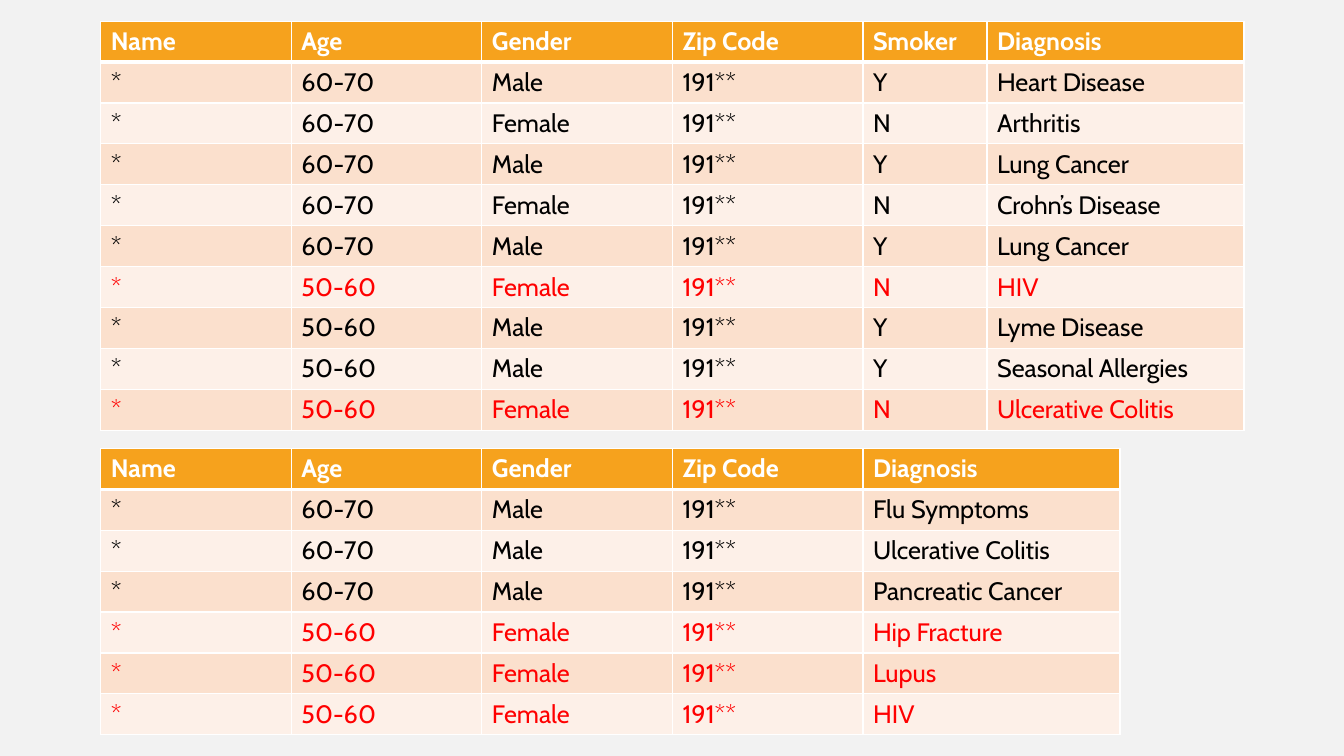
from lxml import etree
from pptx import Presentation
from pptx import util as u
from pptx.dml.color import RGBColor
from pptx.oxml import ns

GREY = RGBColor(0xF2, 0xF2, 0xF2)
ORANGE = RGBColor(0xF6, 0xA2, 0x1D)
PEACH = RGBColor(0xFB, 0xE0, 0xCD)
CREAM = RGBColor(0xFD, 0xF0, 0xE8)
WHITE = RGBColor(0xFF, 0xFF, 0xFF)
BLACK = RGBColor(0, 0, 0)
RED = RGBColor(0xFF, 0, 0)

FONT = "Cabin"
LEFT = 1
WIDE, SMOKE, DIAG = 1.89, 1.23, 2.55  # column widths

# Age, gender, smoker, diagnosis
FIRST = [
    ("60-70", "Male", "Y", "Heart Disease"),
    ("60-70", "Female", "N", "Arthritis"),
    ("60-70", "Male", "Y", "Lung Cancer"),
    ("60-70", "Female", "N", "Crohn’s Disease"),
    ("60-70", "Male", "Y", "Lung Cancer"),
    ("50-60", "Female", "N", "HIV"),
    ("50-60", "Male", "Y", "Lyme Disease"),
    ("50-60", "Male", "Y", "Seasonal Allergies"),
    ("50-60", "Female", "N", "Ulcerative Colitis"),
]
# Age, gender, diagnosis
SECOND = [
    ("60-70", "Male", "Flu Symptoms"),
    ("60-70", "Male", "Ulcerative Colitis"),
    ("60-70", "Male", "Pancreatic Cancer"),
    ("50-60", "Female", "Hip Fracture"),
    ("50-60", "Female", "Lupus"),
    ("50-60", "Female", "HIV"),
]


def add_edge(cell, side, points):
    """Draw one white border; call before the fill is set."""
    props = cell._tc.get_or_add_tcPr()
    line = etree.SubElement(props, ns.qn("a:ln" + side), w=str(u.Pt(points)))
    fill = etree.SubElement(line, ns.qn("a:solidFill"))
    etree.SubElement(fill, ns.qn("a:srgbClr"), val=str(WHITE))


def set_cell(cell, words, row, color):
    # The rule below the header is thicker than the rest
    thick = {(0, "B"), (1, "T")}
    for side in "LRTB":
        add_edge(cell, side, 3 if (row, side) in thick else 1)
    cell.fill.solid()
    cell.fill.fore_color.rgb = (
        ORANGE if row == 0 else PEACH if row % 2 else CREAM)
    cell.text_frame.text = words
    font = cell.text_frame.paragraphs[0].runs[0].font
    font.name = FONT
    font.size = u.Pt(18)
    font.bold = row == 0
    font.color.rgb = color


def pick_color(row, age, gender):
    """Red marks the group of women aged 50-60."""
    if row == 0:
        return WHITE
    return RED if (age, gender) == ("50-60", "Female") else BLACK


def add_grid(slide, top, height, widths, head, people):
    # Name and zip code are masked alike for everyone
    rows = [("Name", "Age", "Gender", "Zip Code", *head)]
    rows += [("*", age, gender, "191**", *rest)
             for age, gender, *rest in people]
    grid = slide.shapes.add_table(
        len(rows), len(widths), u.Inches(LEFT), u.Inches(top),
        u.Inches(sum(widths)), u.Inches(height)).table
    for col, width in zip(grid.columns, widths):
        col.width = u.Inches(width)
    for r, row in enumerate(rows):
        color = pick_color(r, row[1], row[2])
        for c, words in enumerate(row):
            set_cell(grid.cell(r, c), words, r, color)


def main():
    deck = Presentation()
    deck.slide_width = u.Inches(13.33)
    deck.slide_height = u.Inches(7.5)
    slide = deck.slides.add_slide(deck.slide_layouts[6])
    slide.background.fill.solid()
    slide.background.fill.fore_color.rgb = GREY

    # Upper table, with smokers
    add_grid(slide, 0.21, 4.06, [WIDE] * 4 + [SMOKE, DIAG],
             ("Smoker", "Diagnosis"), FIRST)
    # Lower table
    add_grid(slide, 4.45, 2.84, [WIDE] * 4 + [DIAG],
             ("Diagnosis",), SECOND)
    deck.save("out.pptx")


main()
